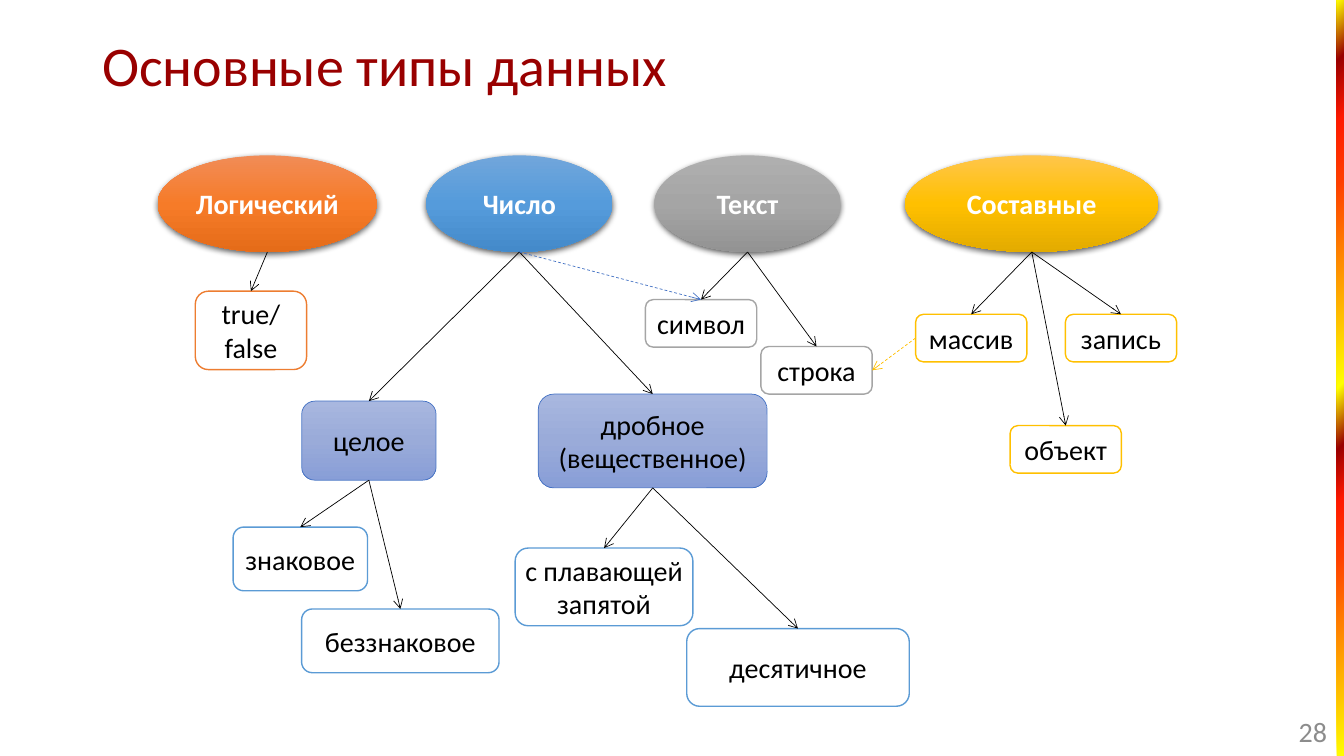
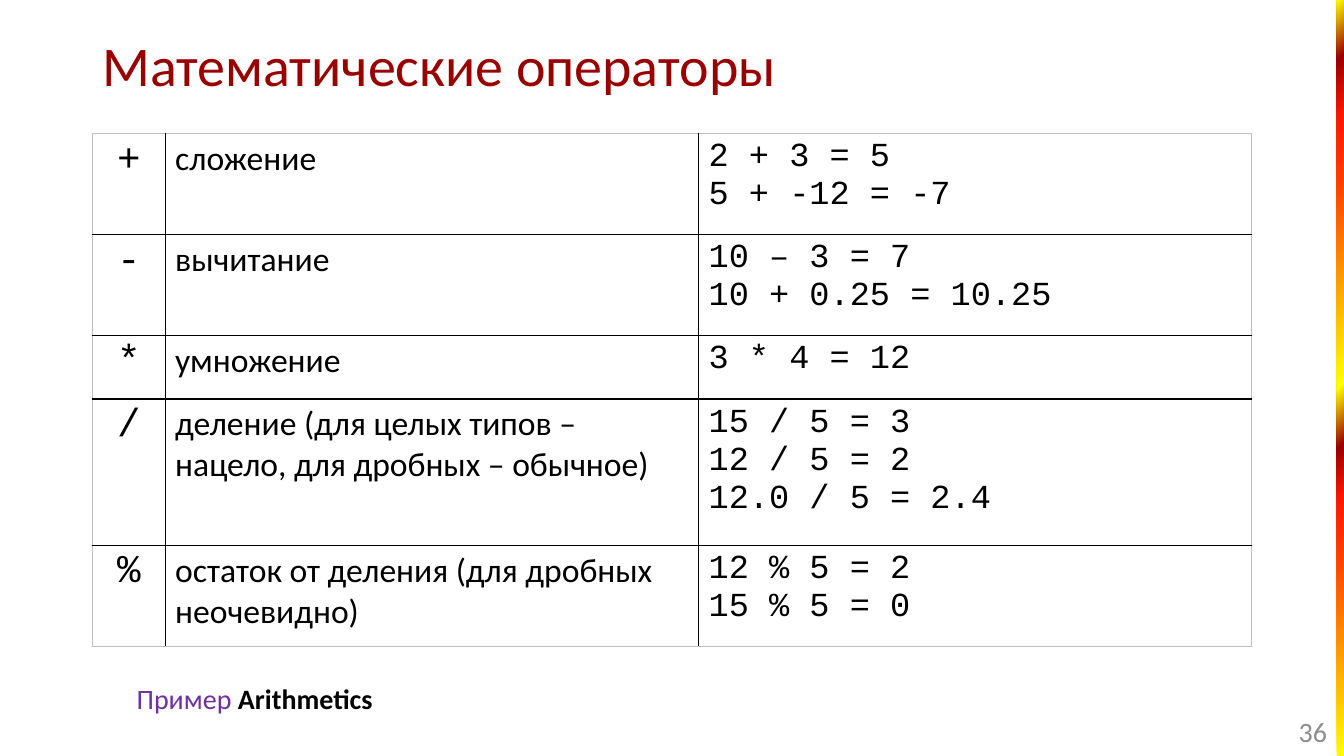
from dataclasses import dataclass

from lxml.etree import SubElement
from pptx import Presentation
from pptx.dml.color import RGBColor
from pptx.enum.dml import MSO_LINE
from pptx.enum.shapes import MSO_CONNECTOR, MSO_SHAPE
from pptx.enum.text import MSO_ANCHOR, PP_ALIGN
from pptx.oxml.ns import qn
from pptx.util import Pt


@dataclass(frozen=True)
class Theme:
    body_font: str = "Calibri"
    code_font: str = "Courier New"
    title_size: int = 40
    operator_size: int = 28
    table_size: int = 24
    label_size: int = 20
    black: str = "000000"
    white: str = "FFFFFF"
    title: str = "990000"
    page_number: str = "8C8C8C"
    example: str = "7030A0"
    grid_edge: str = "BFBFBF"
    orange: str = "ED7D31"
    blue: str = "5B9BD5"
    gray: str = "A5A5A5"
    gold: str = "FFC000"
    indigo: str = "4472C4"
    logical_fill: tuple = ((0, "F18C57"), (50, "F67B28"), (100, "E56C19"))
    number_fill: tuple = ((0, "71A6DB"), (50, "559BDB"), (100, "448ACA"))
    text_fill: tuple = ((0, "AFAFAF"), (50, "A5A5A5"), (100, "939393"))
    compound_fill: tuple = ((0, "FFC64B"), (50, "FFC000"), (100, "E3AB00"))
    subtype_fill: tuple = ((0, "A8B7DF"), (50, "9AABD9"), (100, "889ED7"))
    band_fill: tuple = (
        (0, "FFFF00"), (27, "FF3D00"), (34, "FF1900"), (41, "990000"),
        (49, "FFFF00"), (76, "FF3D00"), (84, "FF1900"), (92, "990000"),
        (100, "FFFF00"),
    )


THEME = Theme()
PAGE_WIDTH, PAGE_HEIGHT = 960, 540
BAND_WIDTH = 5
CONTENT_LEFT, CONTENT_WIDTH = 66, 828
TYPE_TOP, TYPE_HEIGHT = 111, 69

# name: left, width, gradient
TYPES = {
    "Логический": (112.5, 157, THEME.logical_fill),
    "Число": (304.5, 133, THEME.number_fill),
    "Текст": (467.5, 133, THEME.text_fill),
    "Составные": (646.5, 181, THEME.compound_fill),
}
# name: left, top, width, height, outline, gradient or None
SUBTYPES = {
    "целое": (215.5, 286.5, 96, 56.5, THEME.indigo, THEME.subtype_fill),
    "дробное (вещественное)": (384.5, 281.5, 163.5, 67, THEME.indigo, THEME.subtype_fill),
    "true/ false": (139.5, 208, 79.5, 56, THEME.orange, None),
    "знаковое": (166.5, 376.5, 96, 45.5, THEME.blue, None),
    "беззнаковое": (215.5, 435, 141, 45.5, THEME.blue, None),
    "с плавающей запятой": (368, 391.5, 127, 55.5, THEME.blue, None),
    "десятичное": (490.5, 449, 159, 55.5, THEME.blue, None),
    "символ": (461, 214, 79.5, 34, THEME.gray, None),
    "строка": (543.5, 247.5, 79.5, 34, THEME.gray, None),
    "массив": (654, 224.5, 79.5, 34, THEME.gold, None),
    "объект": (721.5, 304, 79.5, 34, THEME.gold, None),
    "запись": (761, 224.5, 79.5, 34, THEME.gold, None),
}
BRANCHES = {
    "Логический": ["true/ false"],
    "Число": ["целое", "дробное (вещественное)"],
    "Текст": ["символ", "строка"],
    "Составные": ["массив", "объект", "запись"],
    "целое": ["знаковое", "беззнаковое"],
    "дробное (вещественное)": ["с плавающей запятой", "десятичное"],
}
OPERATORS = [
    ("+", "сложение", ["2 + 3 = 5", "5 + -12 = -7"]),
    ("-", "вычитание", ["10 – 3 = 7", "10 + 0.25 = 10.25"]),
    ("*", "умножение", ["3 * 4 = 12"]),
    ("/", "деление (для целых типов – нацело, для дробных – обычное)",
     ["15 / 5 = 3", "12 / 5 = 2", "12.0 / 5 = 2.4"]),
    ("%", "остаток от деления (для дробных неочевидно)",
     ["12 % 5 = 2", "15 % 5 = 0"]),
]
OPERATOR_COLUMNS = (52, 381, 395)
OPERATOR_ROWS = (72, 72, 45.5, 104.5, 72)


def apply_format(target, values):
    for name, value in values.items():
        setattr(target, name, value)


def points(*lengths):
    return [Pt(length) for length in lengths]


def write_span(para, text, size, color=THEME.black, font=THEME.body_font, bold=False):
    span = para.add_run()
    span.text = text
    apply_format(span.font, {"name": font, "size": Pt(size), "bold": bold})
    span.font.color.rgb = RGBColor.from_string(color)


def write_lines(frame, lines, size, align=PP_ALIGN.LEFT, **style):
    """Write one paragraph for each line, all in the same style."""
    for index, line in enumerate(lines):
        para = frame.add_paragraph() if index else frame.paragraphs[0]
        para.alignment = align
        write_span(para, line, size, **style)


def fill_gradient(shape, stops, angle=90):
    """Fill with (percent, colour) stops; the angle runs clockwise."""
    shape.fill.gradient()
    shape.fill.gradient_angle = 360 - angle
    stop_list = shape.element.spPr.find(qn("a:gradFill")).find(qn("a:gsLst"))
    for old_stop in list(stop_list):
        stop_list.remove(old_stop)
    for percent, color in stops:
        stop = SubElement(stop_list, qn("a:gs"), pos=str(percent * 1000))
        SubElement(stop, qn("a:srgbClr"), val=color)


def add_soft_shadow(shape):
    effects = shape.element.spPr.find(qn("a:effectLst"))
    shadow = SubElement(effects, qn("a:outerShdw"), blurRad=str(Pt(4.5)),
                        dist=str(Pt(1.5)), dir="5400000", rotWithShape="0")
    color = SubElement(shadow, qn("a:srgbClr"), val=THEME.black)
    SubElement(color, qn("a:alpha"), val="63000")


def add_plain_shape(page, kind, place):
    shape = page.shapes.add_shape(kind, *points(*place))
    shape.shadow.inherit = False
    shape.line.fill.background()
    return shape


def add_text_box(page, place, anchor=MSO_ANCHOR.TOP):
    frame = page.shapes.add_textbox(*points(*place)).text_frame
    apply_format(frame, {"word_wrap": True, "vertical_anchor": anchor})
    return frame


def add_page(deck, title, number):
    """Add a slide with the shared side band, title and page number."""
    page = deck.slides.add_slide(deck.slide_layouts[6])
    band_left = PAGE_WIDTH - BAND_WIDTH
    band = add_plain_shape(page, MSO_SHAPE.RECTANGLE,
                           (band_left, 0, BAND_WIDTH, PAGE_HEIGHT))
    fill_gradient(band, THEME.band_fill, 225)

    frame = add_text_box(page, (CONTENT_LEFT, 11, CONTENT_WIDTH, 76), MSO_ANCHOR.MIDDLE)
    write_lines(frame, [title], THEME.title_size, color=THEME.title)
    frame.paragraphs[0].line_spacing = 0.9

    frame = add_text_box(page, (band_left - 76, 508, 76, 29), MSO_ANCHOR.MIDDLE)
    write_lines(frame, [str(number)], THEME.label_size, PP_ALIGN.RIGHT,
                color=THEME.page_number)
    return page


def add_label(shape, text, vertical_margin=0, **style):
    frame = shape.text_frame
    apply_format(frame, {
        "word_wrap": True, "vertical_anchor": MSO_ANCHOR.MIDDLE,
        "margin_left": 0, "margin_right": 0,
        "margin_top": Pt(vertical_margin), "margin_bottom": Pt(vertical_margin),
    })
    write_lines(frame, [text], THEME.label_size, PP_ALIGN.CENTER, **style)


def add_type(page, text, left, width, stops):
    oval = add_plain_shape(page, MSO_SHAPE.OVAL, (left, TYPE_TOP, width, TYPE_HEIGHT))
    fill_gradient(oval, stops)
    add_soft_shadow(oval)
    add_label(oval, text, 3.6, color=THEME.white, bold=True)
    return oval


def add_subtype(page, text, left, top, width, height, outline, stops):
    box = add_plain_shape(page, MSO_SHAPE.ROUNDED_RECTANGLE, (left, top, width, height))
    if stops:
        fill_gradient(box, stops)
    else:
        box.fill.solid()
        box.fill.fore_color.rgb = RGBColor.from_string(THEME.white)
    box.line.color.rgb = RGBColor.from_string(outline)
    box.line.width = Pt(0.5 if stops else 1)
    add_label(box, text)
    return box


def add_arrow(page, source, target, color=THEME.black, dash=None, sideways=False):
    """Run from bottom to top, or from left to right side when sideways."""
    start_x = source.left if sideways else source.left + source.width // 2
    start_y = source.top + (source.height // 2 if sideways else source.height)
    arrow = page.shapes.add_connector(MSO_CONNECTOR.STRAIGHT, start_x, start_y,
                                      target.left, target.top)
    if source.auto_shape_type == MSO_SHAPE.ROUNDED_RECTANGLE:
        arrow.begin_connect(source, 1 if sideways else 2)
    arrow.end_connect(target, 3 if sideways else 0)
    arrow.line.color.rgb = RGBColor.from_string(color)
    apply_format(arrow.line, {"width": Pt(0.5), "dash_style": dash})
    properties = arrow.element.spPr
    SubElement(properties.find(qn("a:ln")), qn("a:tailEnd"), type="arrow")
    SubElement(properties, qn("a:effectLst"))


def set_borders(cell, edges):
    """Draw black inner borders and thin gray ones on the table's edges."""
    properties = cell._tc.get_or_add_tcPr()
    for side in "LRTB":
        outer = side in edges
        line = SubElement(properties, qn(f"a:ln{side}"), w=str(Pt(0.5 if outer else 1)))
        fill = SubElement(line, qn("a:solidFill"))
        SubElement(fill, qn("a:srgbClr"), val=THEME.grid_edge if outer else THEME.black)


def add_operator_table(page):
    row_count, column_count = len(OPERATOR_ROWS), len(OPERATOR_COLUMNS)
    table = page.shapes.add_table(
        row_count, column_count,
        *points(CONTENT_LEFT, 95.5, CONTENT_WIDTH, sum(OPERATOR_ROWS))).table
    apply_format(table, {"first_row": False, "horz_banding": False})
    for column, width in zip(table.columns, OPERATOR_COLUMNS):
        column.width = Pt(width)
    for row, height in zip(table.rows, OPERATOR_ROWS):
        row.height = Pt(height)

    for row_index, (operator, meaning, examples) in enumerate(OPERATORS):
        cells = table.rows[row_index].cells
        for column_index, cell in enumerate(cells):
            at_edge = {"L": column_index == 0, "R": column_index == column_count - 1,
                       "T": row_index == 0, "B": row_index == row_count - 1}
            set_borders(cell, [side for side, is_outer in at_edge.items() if is_outer])
            cell.fill.background()
        write_lines(cells[0].text_frame, [operator], THEME.operator_size,
                    PP_ALIGN.CENTER, font=THEME.code_font)
        write_lines(cells[1].text_frame, [meaning], THEME.table_size)
        write_lines(cells[2].text_frame, examples, THEME.table_size, font=THEME.code_font)


def build_data_types(deck):
    page = add_page(deck, "Основные типы данных", 28)
    nodes = {name: add_type(page, name, *values) for name, values in TYPES.items()}
    for name, values in SUBTYPES.items():
        nodes[name] = add_subtype(page, name, *values)
    for parent, children in BRANCHES.items():
        for child in children:
            add_arrow(page, nodes[parent], nodes[child])
    add_arrow(page, nodes["Число"], nodes["символ"], THEME.indigo, MSO_LINE.DASH)
    add_arrow(page, nodes["массив"], nodes["строка"], THEME.gold, MSO_LINE.DASH,
              sideways=True)


def build_operators(deck):
    page = add_page(deck, "Математические операторы", 36)
    add_operator_table(page)
    para = add_text_box(page, (90.5, 483, 538.5, 31.5)).paragraphs[0]
    write_span(para, "Пример ", THEME.label_size, THEME.example)
    write_span(para, "Arithmetics", THEME.label_size, bold=True)


def main():
    deck = Presentation()
    apply_format(deck, {"slide_width": Pt(PAGE_WIDTH), "slide_height": Pt(PAGE_HEIGHT)})
    build_data_types(deck)
    build_operators(deck)
    deck.save("out.pptx")


if __name__ == "__main__":
    main()
